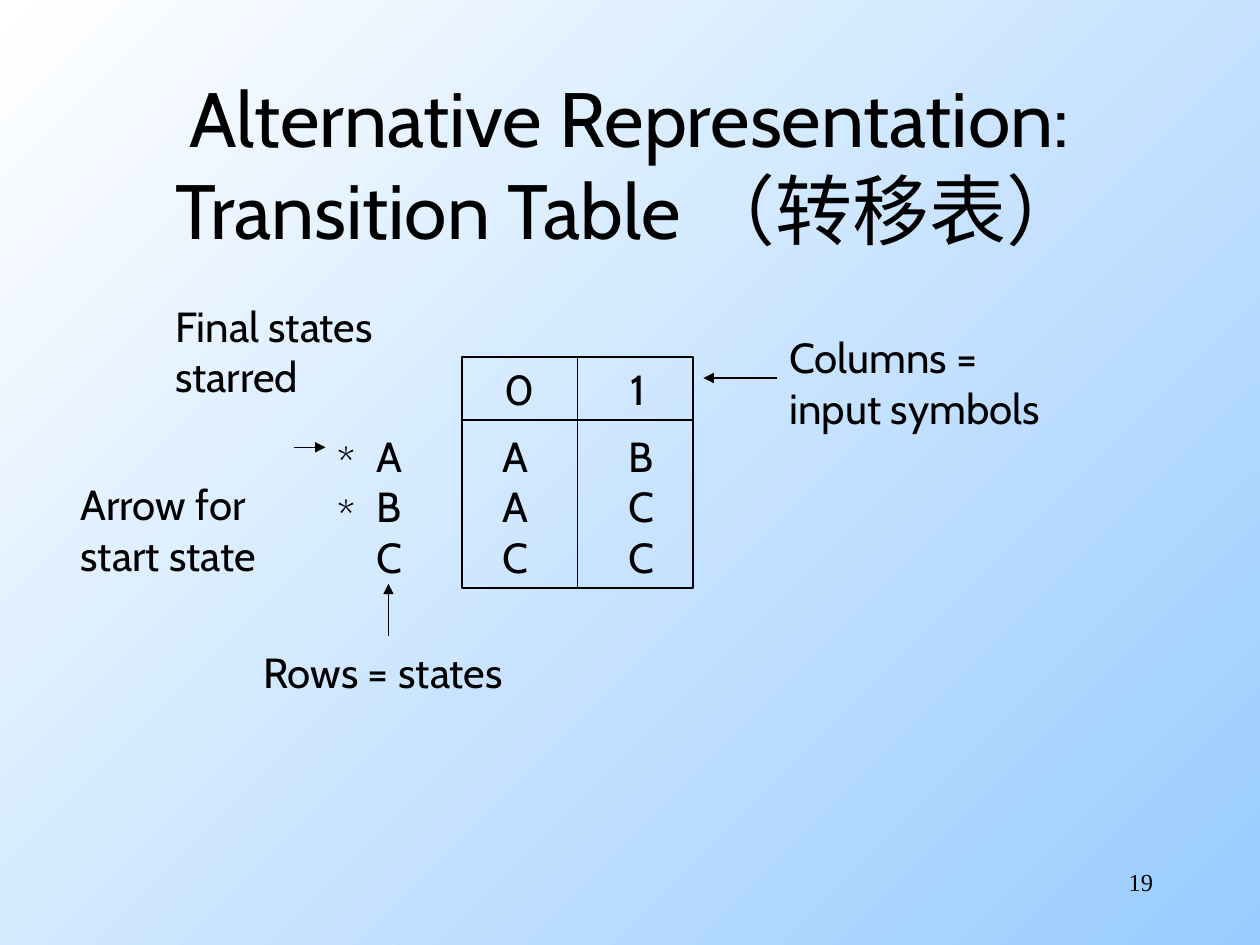
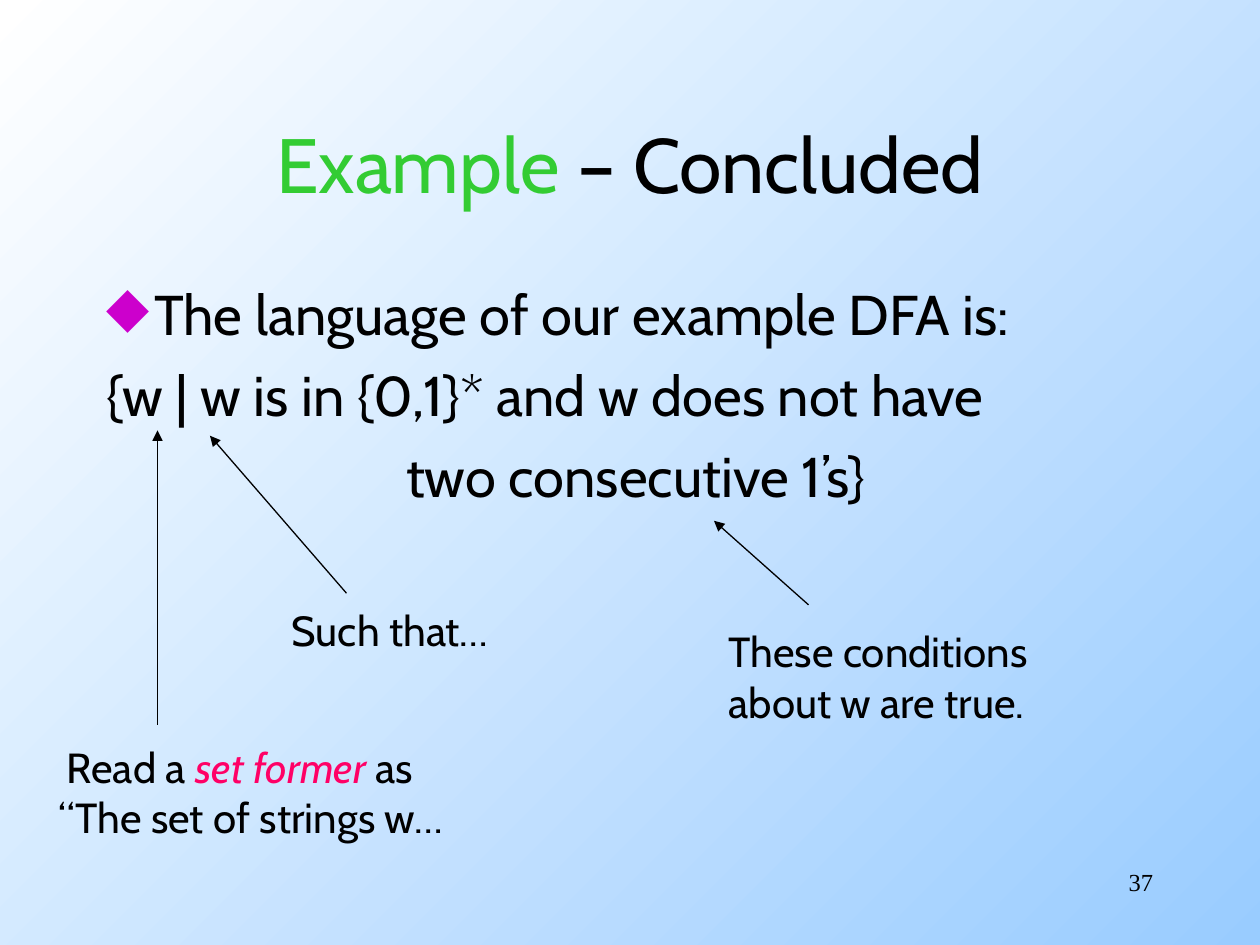
import pptx
import pptx.dml.color
import pptx.enum.shapes
import pptx.enum.text
import pptx.oxml.ns
import pptx.util
import lxml.etree

COLORS = {"text": "000000", "example": "33CC33", "term": "FF0066",
          "bullet": "CC00CC", "sky_start": "FFFFFF", "sky_end": "99CCFF"}
FONT = "Cabin"
NUMBER_FONT = "Times New Roman"
COLUMNS, ROWS = 120, 90
ALIGN = pptx.enum.text.PP_ALIGN
qn = pptx.oxml.ns.qn

presentation = pptx.Presentation()
presentation.slide_width = pptx.util.Inches(10)
presentation.slide_height = pptx.util.Inches(7.5)
cell = presentation.slide_width / COLUMNS


def add_text(slide, box, text, size=24, font=FONT, align=ALIGN.LEFT, wrap=False, highlight=None):
    shape = slide.shapes.add_textbox(*[round(value * cell) for value in box])
    text_frame = shape.text_frame
    text_frame.word_wrap = wrap
    if not wrap:
        text_frame.auto_size = pptx.enum.text.MSO_AUTO_SIZE.SHAPE_TO_FIT_TEXT
    phrase, color, italic = highlight or ("\n", "text", False)
    text_frame.text = text
    for paragraph in text_frame.paragraphs:
        paragraph.alignment = align
        segments = paragraph.text.partition(phrase)
        paragraph.clear()
        for segment in filter(None, segments):
            run = paragraph.add_run()
            run.text = segment
            run.font.name = font
            run.font.size = pptx.util.Pt(size)
            marked = segment == phrase
            run.font.italic = marked and italic
            run.font.color.rgb = pptx.dml.color.RGBColor.from_string(
                COLORS[color if marked else "text"])
    return shape


def add_line(slide, ends, arrow=True):
    connector = slide.shapes.add_connector(
        pptx.enum.shapes.MSO_CONNECTOR.STRAIGHT, *[round(value * cell) for value in ends])
    connector.line.color.rgb = pptx.dml.color.RGBColor.from_string(COLORS["text"])
    connector.line.width = pptx.util.Pt(0.75)
    if arrow:
        line = connector.line._get_or_add_ln()
        lxml.etree.SubElement(line, qn("a:tailEnd"), type="triangle")
    lxml.etree.SubElement(connector._element.spPr, qn("a:effectLst"))
    return connector


background = presentation.slide_master.background.fill
background.gradient()
background.gradient_angle = 315
for stop, name in zip(background.gradient_stops, ("sky_start", "sky_end")):
    stop.color.rgb = pptx.dml.color.RGBColor.from_string(COLORS[name])

blank_layout = presentation.slide_layouts[6]
slides = []
for title, number, highlight in [
    ("Alternative Representation: Transition Table （转移表）", "19", None),
    ("Example – Concluded", "37", ("Example", "example", False)),
]:
    slide = presentation.slides.add_slide(blank_layout)
    add_text(slide, (86, 82, 25, 6), number, 14, NUMBER_FONT, ALIGN.RIGHT, True)
    title_box = add_text(slide, (9, 8, 102, 15), title, 44, FONT, ALIGN.CENTER, True, highlight)
    title_box.text_frame.vertical_anchor = pptx.enum.text.MSO_ANCHOR.MIDDLE
    slides.append(slide)
table_slide, example_slide = slides

left, top, side, header = 44, 34, 22, 6
frame = table_slide.shapes.add_shape(
    pptx.enum.shapes.MSO_SHAPE.RECTANGLE,
    *[round(value * cell) for value in (left, top, side, side)])
frame.shadow.inherit = False
frame.fill.background()
frame.line.color.rgb = pptx.dml.color.RGBColor.from_string(COLORS["text"])
frame.line.width = pptx.util.Pt(0.75)
add_line(table_slide, (left, top + header, left + side, top + header), arrow=False)
middle = left + side / 2
divider = add_line(table_slide, (middle, top, middle, top + side), arrow=False)
divider.begin_connect(frame, 0)
divider.end_connect(frame, 2)

for index, symbol in enumerate("01"):
    add_text(table_slide, (46.9 + 12 * index, top, 4.7, 6), symbol)

transitions = add_text(table_slide, (34.7, 40.4, 28.9, 15.6), "A\tA\tB\nB\tA\tC\nC\tC\tC")
for paragraph in transitions.text_frame.paragraphs:
    tabs = lxml.etree.SubElement(paragraph._p.get_or_add_pPr(), qn("a:tabLst"))
    for column in (1, 2):
        lxml.etree.SubElement(tabs, qn("a:tab"), pos=str(round(12 * column * cell)), algn="l")

for star_row in (41, 46):
    add_text(table_slide, (31, star_row, 4.6, 6), "*")

for box, label in [
    ((23.9, 61, 28, 6), "Rows = states"),
    ((74, 31, 28.8, 10.8), "Columns =\ninput symbols"),
    ((15.5, 28, 23.5, 10.8), "Final states\nstarred"),
    ((6.5, 45, 21.4, 10.8), "Arrow for\nstart state"),
]:
    add_text(table_slide, box, label)
for ends in [(37, 60.6, 37, 55.6), (74, 36, 67, 36), (28, 42.6, 31, 42.6)]:
    add_line(table_slide, ends)

language = add_text(
    example_slide, (9, 26, 102, 54),
    "The language of our example DFA is:\n"
    "{w | w is in {0,1}* and w does not have\n"
    "two consecutive 1’s}", 32, wrap=True)
indents = [(4.5, -4.5), (4.5, -4.5), (28.5, 0)]
for index, (paragraph, (margin, indent)) in enumerate(zip(language.text_frame.paragraphs, indents)):
    properties = paragraph._p.get_or_add_pPr()
    properties.set("marL", str(round(margin * cell)))
    properties.set("indent", str(round(indent * cell)))
    if index == 0:
        bullet_color = lxml.etree.SubElement(properties, qn("a:buClr"))
        lxml.etree.SubElement(bullet_color, qn("a:srgbClr"), val=COLORS["bullet"])
        lxml.etree.SubElement(properties, qn("a:buChar"), char="◆")
    else:
        lxml.etree.SubElement(properties, qn("a:buNone"))
        paragraph.space_before = pptx.util.Pt(8)

set_former = add_text(
    example_slide, (4.4, 70, 43.6, 10.8), "Read a set former as\n“The set of strings w…",
    highlight=("set former", "term", True))
first_line = set_former.text_frame.paragraphs[0]._p.get_or_add_pPr()
first_line.set("marL", str(round(0.8 * cell)))
add_text(example_slide, (26.6, 57, 23.3, 6), "Such that…")
add_text(example_slide, (68.2, 59, 34.7, 10.8), "These conditions\nabout w are true.")
for ends in [(15, 69, 15, 41), (33, 56.5, 20, 41.5), (77, 57.6, 68, 49.6)]:
    add_line(example_slide, ends)

presentation.save("out.pptx")
